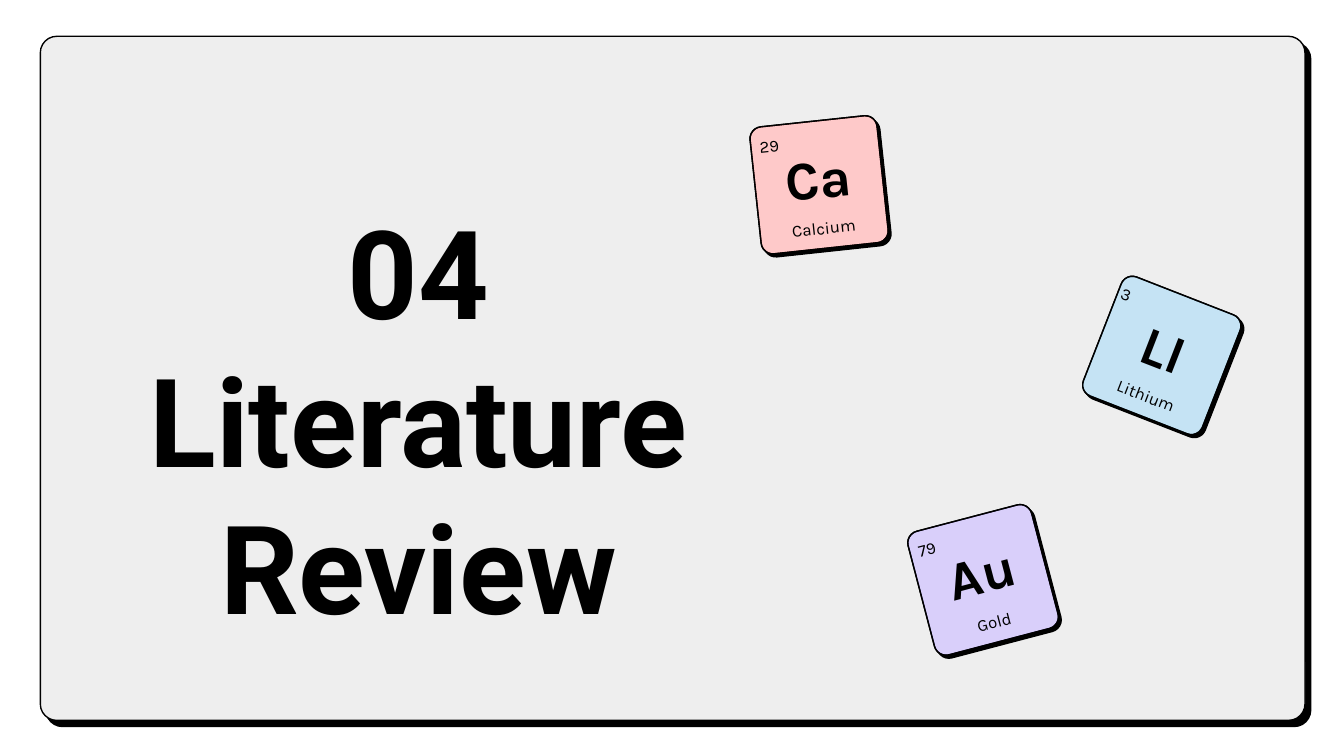
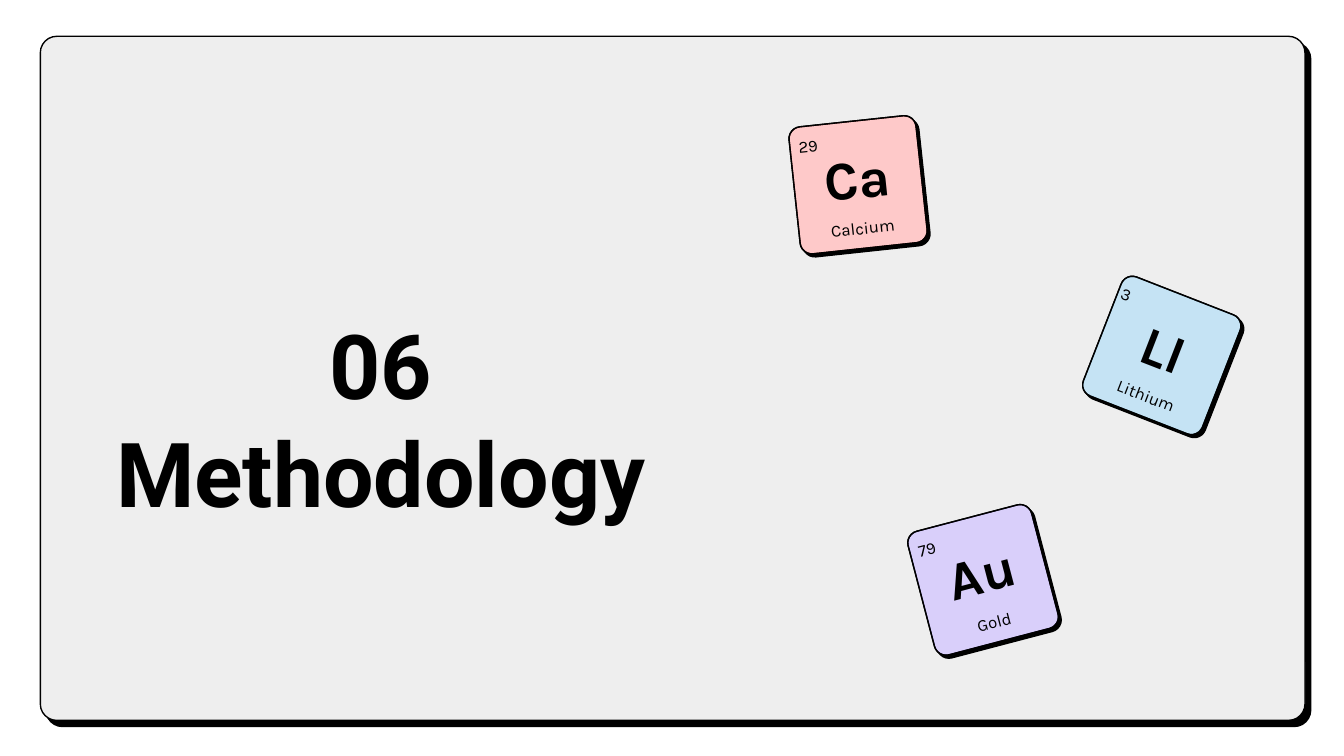
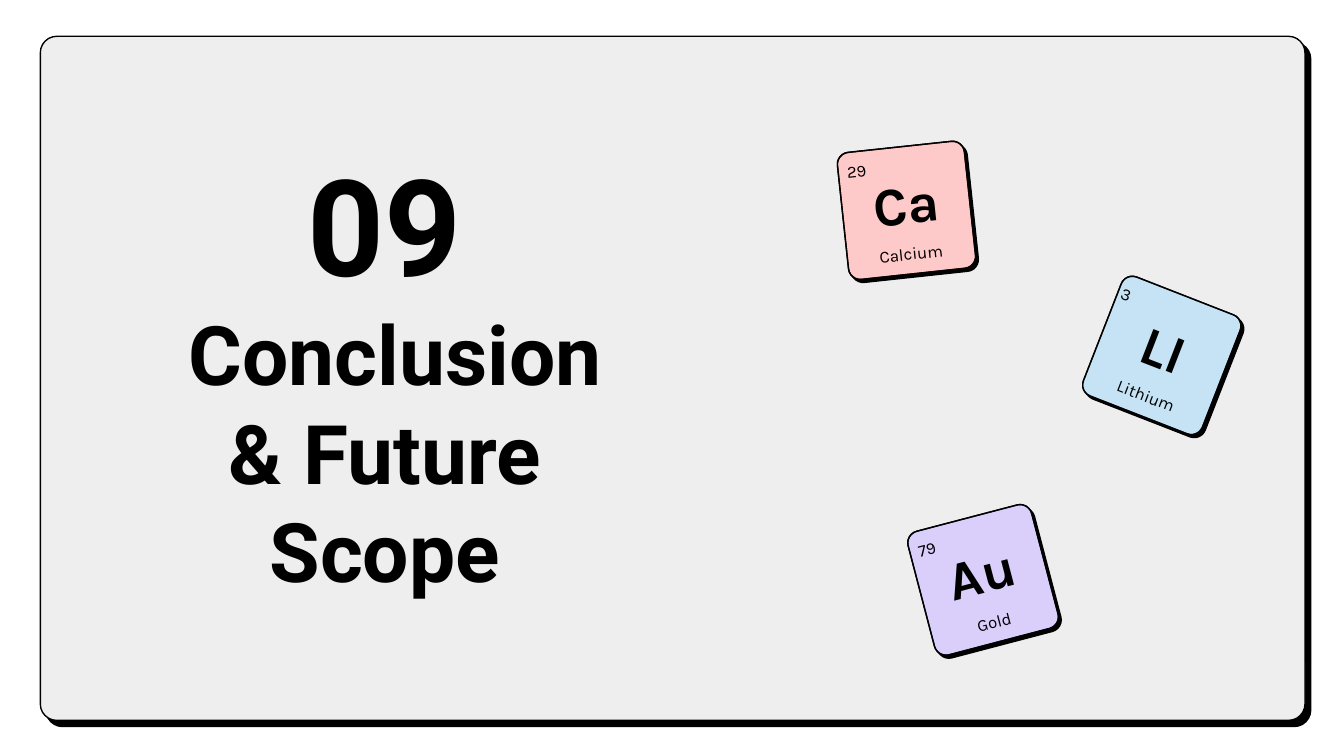
from math import cos, radians, sin

from lxml.etree import SubElement
from pptx import Presentation
from pptx.dml.color import RGBColor
from pptx.enum.shapes import MSO_SHAPE as SHAPE
from pptx.enum.text import MSO_ANCHOR as ANCHOR, MSO_AUTO_SIZE as AUTO_SIZE, PP_ALIGN as ALIGN
from pptx.oxml.ns import qn
from pptx.util import Inches, Pt

COLORS = {
    "black": "000000",
    "white": "FFFFFF",
    "panel": "EEEEEE",
    "pink": "FC2828",
    "blue": "70BBE4",
    "violet": "6943ED",
}
TITLE_FONT, TILE_FONT = "Roboto", "Karla"

PANEL = (0.3, 0.27, 9.41, 5.09)
TILE = 0.95
INSET = 0.1
NUMBER_LEFT = -0.51  # from the tile's centre

# widths are those of the symbol, the name and the number
ELEMENTS = {
    "lithium": dict(number="3", symbol="LI", name="Lithium", color="blue", alpha=40,
                    turn=21.3, widths=(0.74, 0.86, 0.16)),
    "calcium": dict(number="29", symbol="Ca", name="Calcium", color="pink", alpha=25,
                    turn=-6.1, widths=(0.92, 0.95, 0.36)),
    "gold": dict(number="79", symbol="Au", name="Gold", color="violet", alpha=25,
                 turn=-14.7, widths=(0.92, 0.95, 0.36)),
}
TILE_PLACES = {"lithium": (8.17, 2.17), "gold": (6.84, 3.84)}

# each title line is (text, size); below is the space kept free under the text
SECTIONS = [
    dict(lines=[("04", 66), ("Literature Review", 66)],
         box=(0.45, 4.23, 5.33, 1.43), below=0.8, calcium=(5.62, 0.9)),
    dict(lines=[("06", 48), ("Methodology", 48)],
         box=(0.17, 2.58, 5.33, 1.43), below=0, calcium=(5.91, 0.9)),
    dict(lines=[("09", 72), (" Conclusion & Future Scope", 44)],
         box=(0.98, 1.24, 3.77, 3.32), below=0, calcium=(6.27, 1.09)),
]


def rgb(name):
    return RGBColor.from_string(COLORS[name])


def write(shape, lines, font, bold=False, align=ALIGN.CENTER, anchor=ANCHOR.MIDDLE, below=0):
    """Fill the shape with one paragraph of (text, size) lines."""
    frame = shape.text_frame
    frame.word_wrap = True
    frame.auto_size = AUTO_SIZE.NONE
    frame.vertical_anchor = anchor
    frame.margin_left = frame.margin_right = frame.margin_top = Inches(INSET)
    frame.margin_bottom = Inches(INSET + below)
    paragraph = frame.paragraphs[0]
    paragraph.alignment = align
    for index, (text, size) in enumerate(lines):
        if index:
            paragraph.add_line_break()
        run = paragraph.add_run()
        run.text = text
        run.font.name = font
        run.font.size = Pt(size)
        run.font.bold = bold
        run.font.color.rgb = rgb("black")


def add_card(shapes, box, corner, color, alpha=None, shadow=None):
    """Add an outlined rounded rectangle; shadow is its distance in points."""
    card = shapes.add_shape(SHAPE.ROUNDED_RECTANGLE, *map(Inches, box))
    card.adjustments[0] = corner
    card.fill.solid()
    card.fill.fore_color.rgb = rgb(color)
    card.line.color.rgb = rgb("black")
    card.line.width = Pt(0.75)
    card.shadow.inherit = False
    properties = card.element.spPr
    if alpha:
        fill_color = properties.find(qn("a:solidFill")).find(qn("a:srgbClr"))
        SubElement(fill_color, qn("a:alpha"), val=str(alpha * 1000))
    if shadow:
        outer = SubElement(properties.find(qn("a:effectLst")), qn("a:outerShdw"), blurRad="0",
                           dist=str(Pt(shadow)), dir=str(47 * 60000), algn="bl", rotWithShape="0")
        SubElement(outer, qn("a:srgbClr"), val=COLORS["black"])
    return card


def add_tile(slide, element, left, top):
    shapes = slide.shapes.add_group_shape().shapes
    turn = element["turn"]
    box = (left, top, TILE, TILE)
    for card in (add_card(shapes, box, 0.093, "white", shadow=2.2),
                 add_card(shapes, box, 0.093, element["color"], alpha=element["alpha"])):
        card.rotation = turn

    symbol_width, name_width, number_width = element["widths"]
    number_x = NUMBER_LEFT + number_width / 2
    labels = [  # text, offset from the tile's centre before turning, size, format
        (element["symbol"], 0, -0.06, symbol_width, 0.56, 29, dict(bold=True)),
        (element["name"], 0, 0.32, name_width, 0.19, 9, {}),
        (element["number"], number_x, -0.33, number_width, 0.19, 9, dict(align=ALIGN.LEFT)),
    ]
    cosine, sine = cos(radians(turn)), sin(radians(turn))
    for text, dx, dy, width, height, size, style in labels:
        x = left + TILE / 2 + dx * cosine - dy * sine
        y = top + TILE / 2 + dx * sine + dy * cosine
        label = shapes.add_textbox(Inches(x - width / 2), Inches(y - height / 2),
                                   Inches(width), Inches(height))
        label.rotation = turn
        write(label, [(text, size)], TILE_FONT, **style)


def add_panel_to_layout(layout, slide):
    """Draw the panel on the slide, then move it behind everything on the layout."""
    panel = add_card(slide.shapes, PANEL, 0.024, "panel", shadow=4.5).element
    panel.find(qn("p:nvSpPr")).find(qn("p:cNvPr")).set("id", "20")
    layout.shapes.element.insert(2, panel)


def add_section(slide, section):
    title = slide.shapes.title
    title.left, title.top, title.width, title.height = map(Inches, section["box"])
    write(title, section["lines"], TITLE_FONT, bold=True, anchor=ANCHOR.BOTTOM,
          below=section["below"])
    places = {**TILE_PLACES, "calcium": section["calcium"]}
    for name, element in ELEMENTS.items():
        add_tile(slide, element, *places[name])


def main():
    deck = Presentation()
    deck.slide_width = Inches(10)
    deck.slide_height = deck.slide_width * 9 // 16
    layout = deck.slide_layouts.get_by_name("Title Only")
    layout.background.fill.solid()
    layout.background.fill.fore_color.rgb = rgb("white")
    for index, section in enumerate(SECTIONS):
        slide = deck.slides.add_slide(layout)
        if index == 0:
            add_panel_to_layout(layout, slide)
        add_section(slide, section)
    deck.save("out.pptx")


if __name__ == "__main__":
    main()
